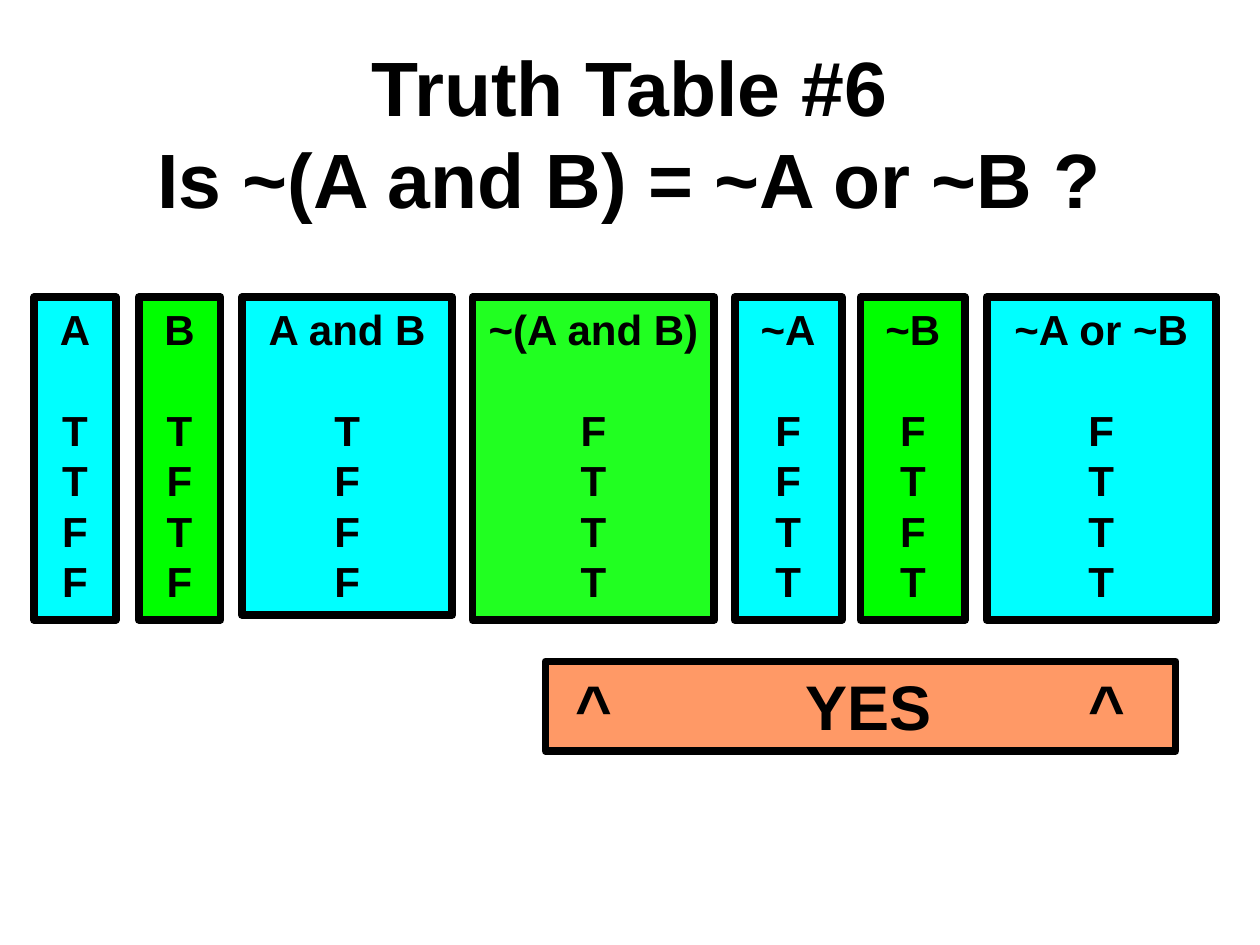
from lxml import etree
from pptx import Presentation
from pptx.dml.color import RGBColor
from pptx.enum import shapes, text
from pptx.oxml.ns import qn
from pptx.util import Inches, Pt

BLACK, CYAN, GREEN, LIME, ORANGE = "000000", "00FFFF", "00FF00", "21FF21", "FF9966"
COLUMN_TOP, COLUMN_HEIGHT = 2.36, 2.56
COLUMNS = [
    ("A", "TTFF", 0.27, 0.65, COLUMN_HEIGHT, CYAN),
    ("B", "TFTF", 1.1, 0.65, COLUMN_HEIGHT, GREEN),
    ("A and B", "TFFF", 1.92, 1.67, 2.52, CYAN),
    ("~(A and B)", "FTTT", 3.75, 1.92, COLUMN_HEIGHT, LIME),
    ("~A", "FFTT", 5.83, 0.85, COLUMN_HEIGHT, CYAN),
    ("~B", "FTFT", 6.83, 0.83, COLUMN_HEIGHT, GREEN),
    ("~A or ~B", "FTTT", 7.83, 1.82, COLUMN_HEIGHT, CYAN),
]


def color(hex_code):
    """Return the colour for a hex string."""
    return RGBColor.from_string(hex_code)


def style_text(frame, size, alignment):
    """Give every paragraph of a frame the slide's bold black type."""
    for paragraph in frame.paragraphs:
        paragraph.alignment = alignment
        paragraph.line_spacing = Pt(size * 1.2)
        for run in paragraph.runs:
            run.font.name = "Arial"
            run.font.size = Pt(size)
            run.font.bold = True
            run.font.color.rgb = color(BLACK)


def add_title(slide, wording):
    """Add the centred heading across the slide."""
    title = slide.shapes.add_textbox(Inches(0), Inches(0.42), Inches(10), Inches(1.25))
    frame = title.text_frame
    frame.word_wrap = True
    frame.vertical_anchor = text.MSO_ANCHOR.MIDDLE
    frame.text = wording
    style_text(frame, 44, text.PP_ALIGN.CENTER)


def add_panel(slide, left, top, width, height, fill):
    """Add a filled, heavily outlined rectangle and return its text frame."""
    panel = slide.shapes.add_shape(
        shapes.MSO_SHAPE.RECTANGLE, Inches(left), Inches(top), Inches(width), Inches(height)
    )
    panel.shadow.inherit = False
    panel.fill.solid()
    panel.fill.fore_color.rgb = color(fill)
    panel.line.color.rgb = color(BLACK)
    panel.line.width = Pt(4.5)
    panel.text_frame.vertical_anchor = text.MSO_ANCHOR.TOP
    return panel.text_frame


def add_column(slide, heading, truths, left, width, height, fill):
    """Add one truth-table column with a gap below its heading."""
    frame = add_panel(slide, left, COLUMN_TOP, width, height, fill)
    frame.word_wrap = False
    frame.text = "\n".join([heading, *truths])
    style_text(frame, 24, text.PP_ALIGN.CENTER)
    frame.paragraphs[1].space_before = Pt(28.8)


def add_tab_stops(paragraph, positions):
    """Put left tab stops at the given inches."""
    stops = etree.SubElement(paragraph._p.get_or_add_pPr(), qn("a:tabLst"))
    for position in positions:
        etree.SubElement(stops, qn("a:tab"), pos=str(Inches(position)), algn="l")


def add_verdict(slide):
    """Add the answer bar with carets under the compared columns."""
    frame = add_panel(slide, 4.33, 5.25, 5, 0.71, ORANGE)
    frame.margin_left = Inches(0.24)
    frame.text = "^\tYES\t^"
    add_tab_stops(frame.paragraphs[0], (1.82, 4.07))
    style_text(frame, 36, text.PP_ALIGN.LEFT)


def main():
    """Build and save the truth-table slide."""
    deck = Presentation()
    deck.slide_width, deck.slide_height = Inches(10), Inches(7.5)
    slide = deck.slides.add_slide(deck.slide_layouts[6])
    add_title(slide, "Truth Table #6\vIs ~(A and B) = ~A or ~B ?")
    for column in COLUMNS:
        add_column(slide, *column)
    add_verdict(slide)
    deck.save("out.pptx")


if __name__ == "__main__":
    main()
